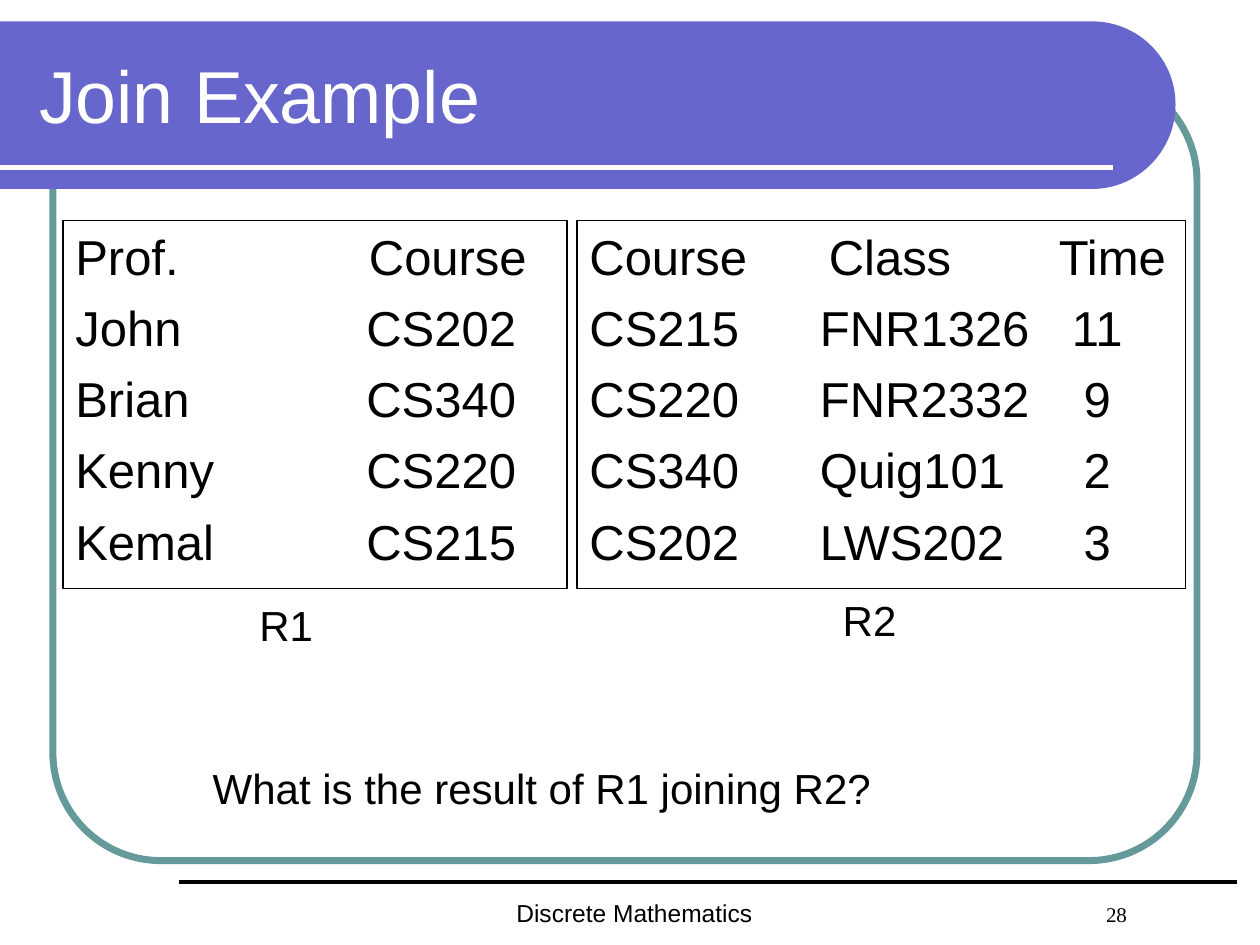
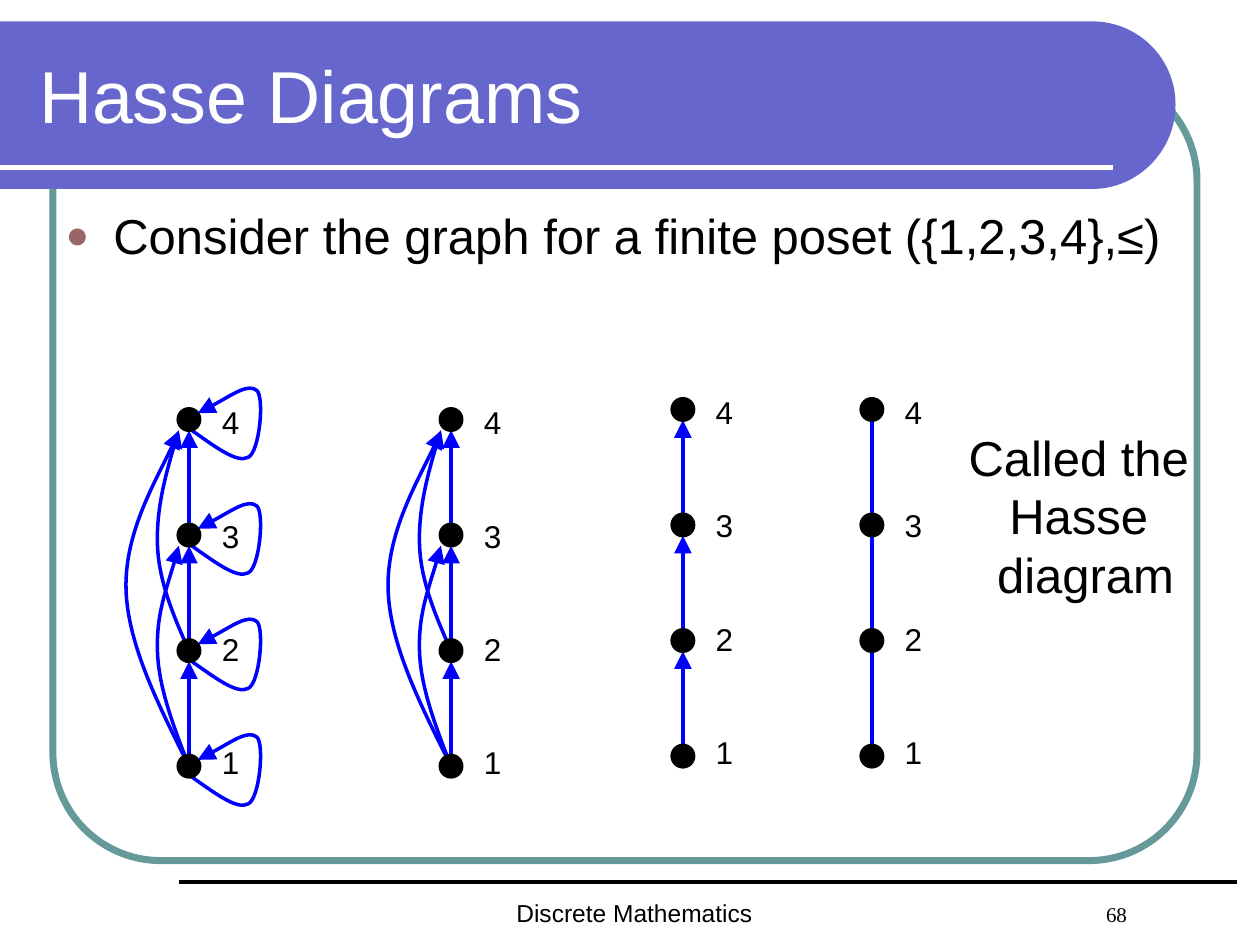
from dataclasses import dataclass

from lxml.etree import SubElement
from pptx import Presentation
from pptx.dml.color import RGBColor
from pptx.enum.shapes import MSO_CONNECTOR, MSO_SHAPE
from pptx.enum.text import MSO_ANCHOR, MSO_AUTO_SIZE, PP_ALIGN
from pptx.oxml.ns import qn
from pptx.util import Inches, Pt

COLORS = {
    "band": "6666CC",
    "frame": "669999",
    "bullet": "996666",
    "edge": "0000FF",
    "text": "000000",
    "white": "FFFFFF",
}


@dataclass(frozen=True)
class Area:
    left: float
    top: float
    width: float
    height: float

    def lengths(self):
        return [Inches(v) for v in (self.left, self.top, self.width, self.height)]


@dataclass(frozen=True)
class Relation:
    name: str
    area: Area
    label: Area
    rows: tuple[str, ...]
    header_tabs: tuple
    row_tabs: tuple


@dataclass(frozen=True)
class Graph:
    x: float
    top: float
    arrows: bool = True
    arcs: bool = False
    loops: bool = False


RELATIONS = (
    Relation("R1", Area(0.5, 1.75, 4, 2.92), Area(1.96, 4.71, 0.8, 0.5),
             ("Prof.\tCourse", "John\tCS202", "Brian\tCS340",
              "Kenny\tCS220", "Kemal\tCS215"),
             ((2.33, "l"),), ((2.31, "l"),)),
    Relation("R2", Area(4.58, 1.75, 4.83, 2.92), Area(6.59, 4.67, 0.8, 0.5),
             ("Course\tClass\tTime", "CS215\tFNR1326\t11", "CS220\tFNR2332\t9",
              "CS340\tQuig101\t2", "CS202\tLWS202\t3"),
             ((1.9, "l"), (4.15, "ctr")), ((1.83, "l"), (4.03, "ctr"))),
)

# Each graph has four nodes, numbered 4 to 1 from the top
GRAPHS = (
    Graph(1.5, 3.33, arcs=True, loops=True),
    Graph(3.58, 3.33, arcs=True),
    Graph(5.42, 3.25),
    Graph(6.92, 3.25, arrows=False),
)
NODE_COUNT, NODE_GAP, LABEL_GAP, DOT = 4, 0.917, 0.9, 0.17

# Bezier points relative to the start node: (node index from top, points)
ARCS = (
    (3, ((0, 0), (-0.12, -0.31), (-0.24, -0.62), (-0.25, -0.91),
         (-0.26, -1.21), (-0.15, -1.48), (-0.08, -1.75))),
    (2, ((0, 0), (-0.12, -0.27), (-0.24, -0.55), (-0.25, -0.84),
         (-0.26, -1.13), (-0.15, -1.53), (-0.08, -1.75))),
    (3, ((0, 0), (-0.24, -0.48), (-0.49, -0.97), (-0.5, -1.41),
         (-0.51, -1.86), (-0.18, -2.41), (-0.08, -2.66))),
)
LOOP = ((0, 0.07), (0.2, 0.21), (0.38, 0.35), (0.47, 0.3), (0.56, 0.26),
        (0.6, -0.17), (0.54, -0.23), (0.47, -0.29), (0.29, -0.16), (0.07, -0.05))
BAND_END = ((8.67, 0.17), (9.03, 0.17), (9.33, 0.46), (9.33, 0.83),
            (9.33, 1.2), (9.03, 1.5), (8.67, 1.5))


def color(name: str) -> RGBColor:
    return RGBColor.from_string(COLORS[name])


# Text
def add_text(frame, text: str, *, size: float, fill="text", font="Arial",
             align=PP_ALIGN.LEFT, before: float = 0, tabs=(), bullet=False):
    """Write one paragraph into the frame, using its empty first one if possible."""
    first = not frame.text
    para = frame.paragraphs[0] if first else frame.add_paragraph()
    properties = para._p.get_or_add_pPr()
    if bullet:
        properties.set("marL", str(Inches(0.38)))
        properties.set("indent", str(-Inches(0.38)))
        bullet_color = SubElement(properties, qn("a:buClr"))
        SubElement(bullet_color, qn("a:srgbClr"), val=COLORS["bullet"])
        SubElement(properties, qn("a:buSzPct"), val="80000")
        SubElement(properties, qn("a:buFont"), typeface="Arial")
        SubElement(properties, qn("a:buChar"), char="●")
    if tabs:
        tab_list = SubElement(properties, qn("a:tabLst"))
        for position, kind in tabs:
            SubElement(tab_list, qn("a:tab"), pos=str(Inches(position)), algn=kind)
    para.alignment = align
    para.space_before = Pt(0 if first else before)
    span = para.add_run()
    span.text = text
    span.font.size, span.font.name = Pt(size), font
    span.font.color.rgb = color(fill)


def prepare_frame(box, anchor=MSO_ANCHOR.TOP):
    frame = box.text_frame
    frame.word_wrap = True
    frame.auto_size = MSO_AUTO_SIZE.NONE
    frame.vertical_anchor = anchor
    frame.margin_left = frame.margin_right = Inches(0.1)
    frame.margin_top = frame.margin_bottom = Inches(0.05)
    return frame


def place(box, area: Area):
    box.left, box.top, box.width, box.height = area.lengths()


def add_label(page, area: Area, *lines: str, anchor=MSO_ANCHOR.TOP, **text_format):
    frame = prepare_frame(page.shapes.add_textbox(*area.lengths()), anchor)
    for line in lines:
        add_text(frame, line, **text_format)


# Shapes and lines
def style_shape(shape, fill=None, line=None, width: float = 0):
    shape.shadow.inherit = False
    if fill:
        shape.fill.solid()
        shape.fill.fore_color.rgb = color(fill)
    else:
        shape.fill.background()
    if line:
        shape.line.color.rgb = color(line)
        shape.line.width = Pt(width)
    else:
        shape.line.fill.background()


def add_arrowhead(shape):
    SubElement(shape.line._get_or_add_ln(), qn("a:tailEnd"),
               type="triangle", w="lg", len="lg")


def add_line(page, start, end, line: str, width: float, arrow=False):
    connector = page.shapes.add_connector(
        MSO_CONNECTOR.STRAIGHT, *[Inches(v) for v in (*start, *end)])
    connector.line.color.rgb = color(line)
    connector.line.width = Pt(width)
    if arrow:
        add_arrowhead(connector)
    SubElement(connector._element.spPr, qn("a:effectLst"))


def add_outline(page, curve_points, corners=(), close=False):
    """Draw joined cubic curves (a start, then three points each), then corners."""
    points = [(Inches(x), Inches(y)) for x, y in (*curve_points, *corners)]
    builder = page.shapes.build_freeform(*points[0])
    builder.add_line_segments(points[1:], close=close)
    outline = builder.convert_to_shape()
    segments = list(outline._element.iter(qn("a:lnTo")))
    for i in range(0, len(curve_points) - 1, 3):
        first, *others = segments[i:i + 3]
        first.tag = qn("a:cubicBezTo")
        for segment in others:
            first.append(segment[0])
            segment.getparent().remove(segment)
    return outline


def add_curve(page, x: float, y: float, offsets):
    curve = add_outline(page, [(x + dx, y + dy) for dx, dy in offsets])
    style_shape(curve, line="edge", width=2)
    add_arrowhead(curve)


# Shared page design
def add_page(deck, layout: int, title: str, number: str):
    page = deck.slides.add_slide(deck.slide_layouts[layout])
    placeholders = list(page.placeholders)
    frame = page.shapes.add_shape(
        MSO_SHAPE.ROUNDED_RECTANGLE, *Area(0.42, 0.58, 9.08, 6.25).lengths())
    frame.adjustments[0] = 0.137
    style_shape(frame, line="frame", width=4)
    band = add_outline(page, BAND_END, ((0, 1.5), (0, 0.17)), close=True)
    style_shape(band, fill="band")
    add_line(page, (0, 1.33), (8.83, 1.33), "white", 3)
    add_label(page, Area(4, 7.08, 3, 0.33), "Discrete Mathematics", size=14)
    add_label(page, Area(8.68, 7.11, 0.6, 0.3), number, size=12, font="Times New Roman")
    add_line(page, (1.42, 7), (9.82, 7), "text", 2.25)
    # Bring the placeholders in front of the band
    for placeholder in placeholders:
        page.shapes.element.append(placeholder.element)
    heading = page.shapes.title
    place(heading, Area(0.21, 0.25, 8.77, 1))
    add_text(prepare_frame(heading, MSO_ANCHOR.MIDDLE), title, size=42, fill="white")
    return page, placeholders[1:]


# Slide parts
def add_relation(page, relation: Relation):
    box = page.shapes.add_textbox(*relation.area.lengths())
    box.line.color.rgb = color("text")
    box.line.width = Pt(0.75)
    frame = prepare_frame(box)
    for i, row in enumerate(relation.rows):
        tabs = relation.row_tabs if i else relation.header_tabs
        add_text(frame, row, size=28, before=7, tabs=tabs)
    add_label(page, relation.label, relation.name, size=24)


def draw_graph(page, graph: Graph):
    node_tops = [graph.top + i * NODE_GAP for i in range(NODE_COUNT)]
    for upper, lower in zip(node_tops, node_tops[1:]):
        add_line(page, (graph.x, lower), (graph.x, upper + DOT / 2),
                 "edge", 2, graph.arrows)
    if graph.arcs:
        for start, offsets in ARCS:
            add_curve(page, graph.x, node_tops[start], offsets)
    for i, y in enumerate(node_tops):
        if graph.loops:
            add_curve(page, graph.x, y, LOOP)
        dot = page.shapes.add_shape(
            MSO_SHAPE.OVAL, *Area(graph.x - DOT / 2, y - DOT / 2, DOT, DOT).lengths())
        style_shape(dot, fill="text", line="text", width=2)
        label_top = graph.top + 0.02 + i * LABEL_GAP - 0.2
        add_label(page, Area(graph.x + 0.13, label_top, 0.4, 0.4), str(NODE_COUNT - i),
                  size=18, align=PP_ALIGN.CENTER, anchor=MSO_ANCHOR.MIDDLE)


def build_join_slide(deck):
    page, _ = add_page(deck, 5, "Join Example", "28")
    for relation in RELATIONS:
        add_relation(page, relation)
    add_label(page, Area(1.59, 6, 5.6, 0.5), "What is the result of R1 joining R2?", size=24)


def build_hasse_slide(deck):
    page, (body,) = add_page(deck, 1, "Hasse Diagrams", "68")
    place(body, Area(0.42, 1.58, 8.92, 4.83))
    add_text(prepare_frame(body),
             "Consider the graph for a finite poset ({1,2,3,4},≤)", size=28, bullet=True)
    for graph in GRAPHS:
        draw_graph(page, graph)
    add_label(page, Area(7.39, 3.34, 2.45, 1.5), "Called the ", "Hasse ", "diagram",
              size=28, align=PP_ALIGN.CENTER)


def main():
    deck = Presentation()
    deck.slide_width, deck.slide_height = Inches(10), Inches(7.5)
    build_join_slide(deck)
    build_hasse_slide(deck)
    deck.save("out.pptx")


if __name__ == "__main__":
    main()
